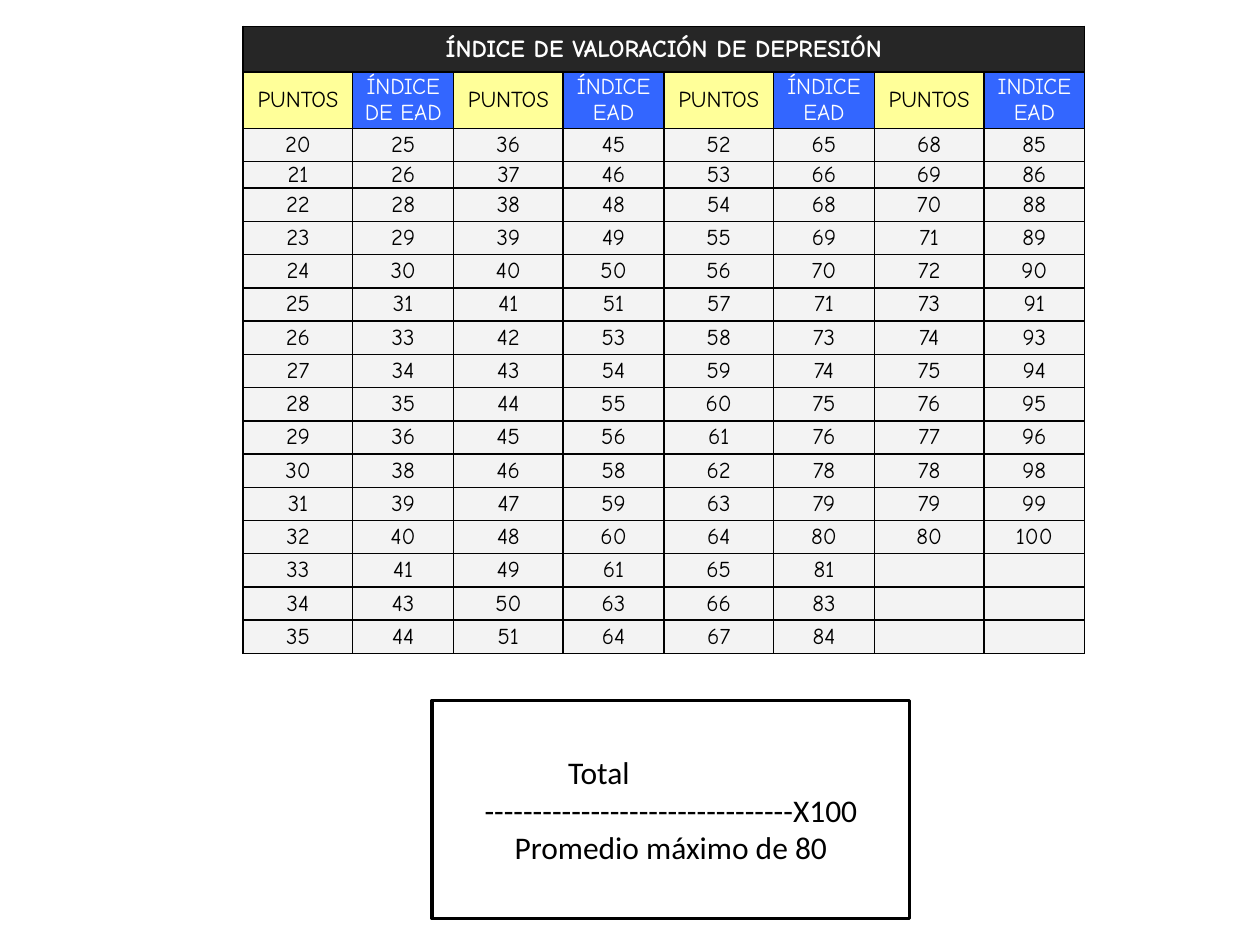
from dataclasses import dataclass

from lxml.etree import SubElement
from pptx import Presentation
from pptx.dml.color import RGBColor as RGB
from pptx.enum.shapes import MSO_SHAPE as SHAPE
from pptx.enum.text import MSO_ANCHOR as ANCHOR, PP_ALIGN as ALIGN
from pptx.oxml.ns import qn
from pptx.util import Inches, Pt


@dataclass(frozen=True)
class Theme:
    black: str = "000000"
    white: str = "FFFFFF"
    title_fill: str = "262626"
    points_fill: str = "FFFF99"
    index_fill: str = "3366FF"
    body_fill: str = "F3F3F3"
    table_font: str = "Comic Neue"
    formula_font: str = "Calibri"
    title_size: int = 14
    cell_size: int = 13
    formula_size: int = 18


def write(p, text, *, font, size, color, bold=False, align=ALIGN.CENTER, indent=0):
    p.alignment = align
    if indent:
        p._p.get_or_add_pPr().set("marL", str(Inches(indent)))
    if not text:
        SubElement(p._p, qn("a:endParaRPr"), sz=str(size * 100))
        return
    r = p.add_run()
    r.text = text
    r.font.name, r.font.size, r.font.bold = font, Pt(size), bold
    r.font.color.rgb = RGB.from_string(color)


class SlideBuilder:
    """Draws styled elements on one slide."""

    def __init__(self, slide, theme):
        self.s, self.theme = slide, theme

    def cell(self, cell, text, fill, color, size, bold=False):
        cell.margin_left = cell.margin_right = Inches(0.05)
        cell.margin_top = cell.margin_bottom = 0
        cell.vertical_anchor = ANCHOR.MIDDLE
        tc_pr = cell._tc.get_or_add_tcPr()
        for side in ("lnL", "lnR", "lnT", "lnB"):
            ln = SubElement(tc_pr, qn(f"a:{side}"), w=str(Pt(1)))
            SubElement(SubElement(ln, qn("a:solidFill")), qn("a:srgbClr"), val=self.theme.black)
        cell.fill.solid()
        cell.fill.fore_color.rgb = RGB.from_string(fill)
        write(cell.text_frame.paragraphs[0], text, font=self.theme.table_font,
              size=size, color=color, bold=bold)

    def table(self, x, y, widths, heights, title, headers, rows):
        t = self.theme
        tbl = self.s.shapes.add_table(len(heights), len(widths), Inches(x), Inches(y),
                                      Inches(sum(widths)), Inches(sum(heights))).table
        for col, width in zip(tbl.columns, widths):
            col.width = Inches(width)
        for row, height in zip(tbl.rows, heights):
            row.height = Inches(height)
        tbl.cell(0, 0).merge(tbl.cell(0, len(widths) - 1))
        for c, header in enumerate(headers):
            self.cell(tbl.cell(0, c), "" if c else title, t.title_fill, t.white,
                      t.title_size, bold=True)
            fill, color = (t.index_fill, t.white) if c % 2 else (t.points_fill, t.black)
            self.cell(tbl.cell(1, c), header, fill, color, t.cell_size)
        for i, values in enumerate(rows, 2):
            for c, value in enumerate(values):
                self.cell(tbl.cell(i, c), value, t.body_fill, t.black, t.cell_size)

    def formula_box(self, x, y, w, h, lines):
        t = self.theme
        sp = self.s.shapes.add_shape(SHAPE.RECTANGLE, Inches(x), Inches(y), Inches(w), Inches(h))
        sp.shadow.inherit = False
        sp.fill.solid()
        sp.fill.fore_color.rgb = RGB.from_string(t.white)
        sp.line.color.rgb = RGB.from_string(t.black)
        sp.line.width = Pt(2)
        tf = sp.text_frame
        tf.word_wrap, tf.vertical_anchor = True, ANCHOR.MIDDLE
        for i, (text, layout) in enumerate(lines):
            p = tf.add_paragraph() if i else tf.paragraphs[0]
            write(p, text, font=t.formula_font, size=t.formula_size, color=t.black, **layout)


def index_rows(first=20, last=80, per_column=16, columns=4):
    for start in range(first, first + per_column):
        row = []
        for points in range(start, start + per_column * columns, per_column):
            index = (points * 5 + 2) // 4
            row += [str(points), str(index)] if points <= last else ["", ""]
        yield row


def main():
    prs = Presentation()
    prs.slide_width, prs.slide_height = Inches(10), Inches(7.5)
    slide = SlideBuilder(prs.slides.add_slide(prs.slide_layouts[6]), Theme())
    slide.formula_box(3.43, 5.56, 3.79, 1.73, [
        ("Total", {"align": ALIGN.LEFT, "indent": 0.98}),
        ("-" * 32 + "X100", {}),
        ("Promedio máximo de 80", {}),
    ])
    title_h, header_h, short_h, table_h = 0.36, 0.45, 0.21, 4.98
    body_h = (table_h - title_h - header_h - short_h) / 15
    slide.table(
        1.93, 0.21, [0.87, 0.8] * 4,
        [title_h, header_h, body_h, short_h] + [body_h] * 14,
        "ÍNDICE DE VALORACIÓN DE DEPRESIÓN",
        ["PUNTOS", "ÍNDICE DE EAD", "PUNTOS", "ÍNDICE EAD",
         "PUNTOS", "ÍNDICE EAD", "PUNTOS", "INDICE EAD"],
        index_rows())
    prs.save("out.pptx")


if __name__ == "__main__":
    main()
